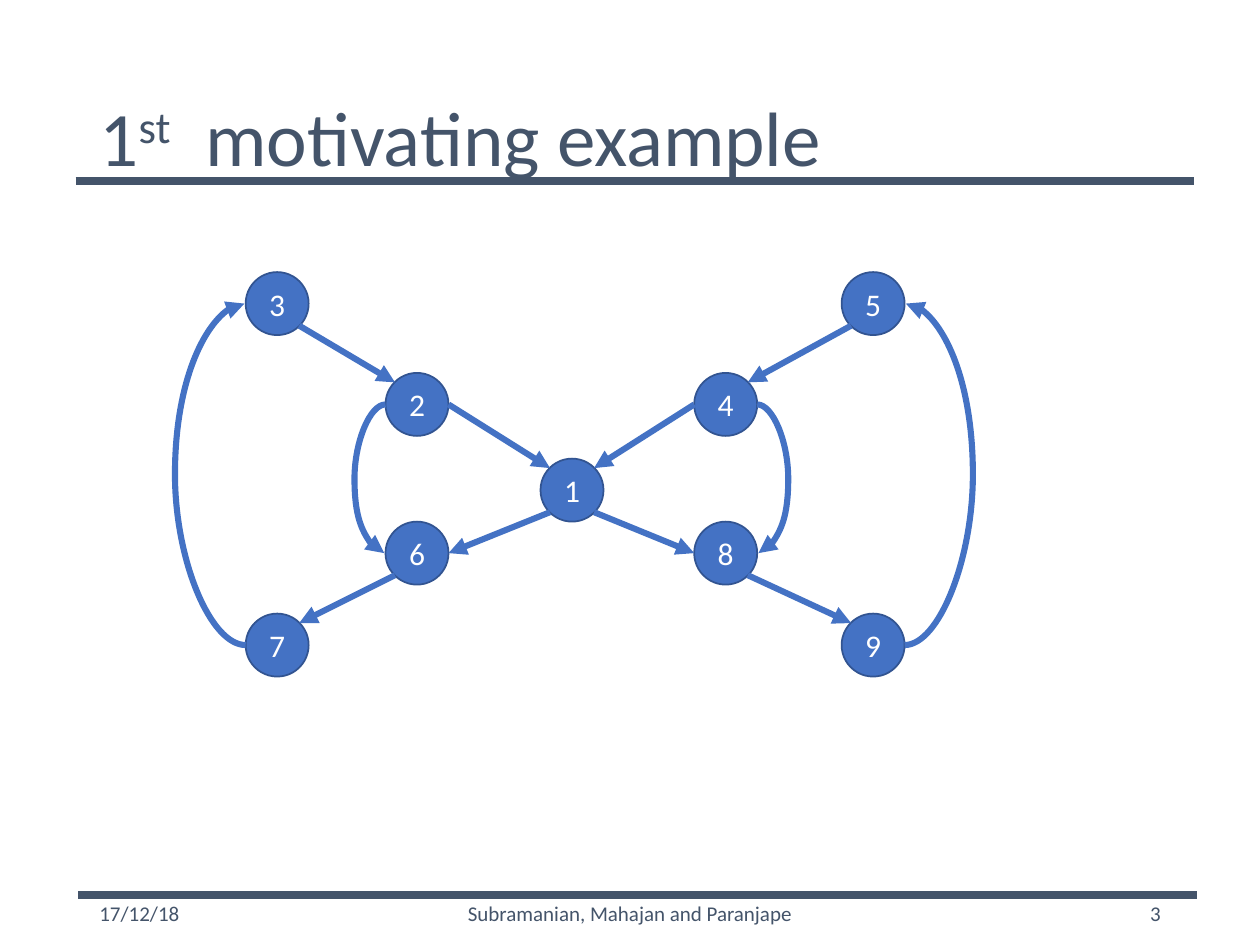
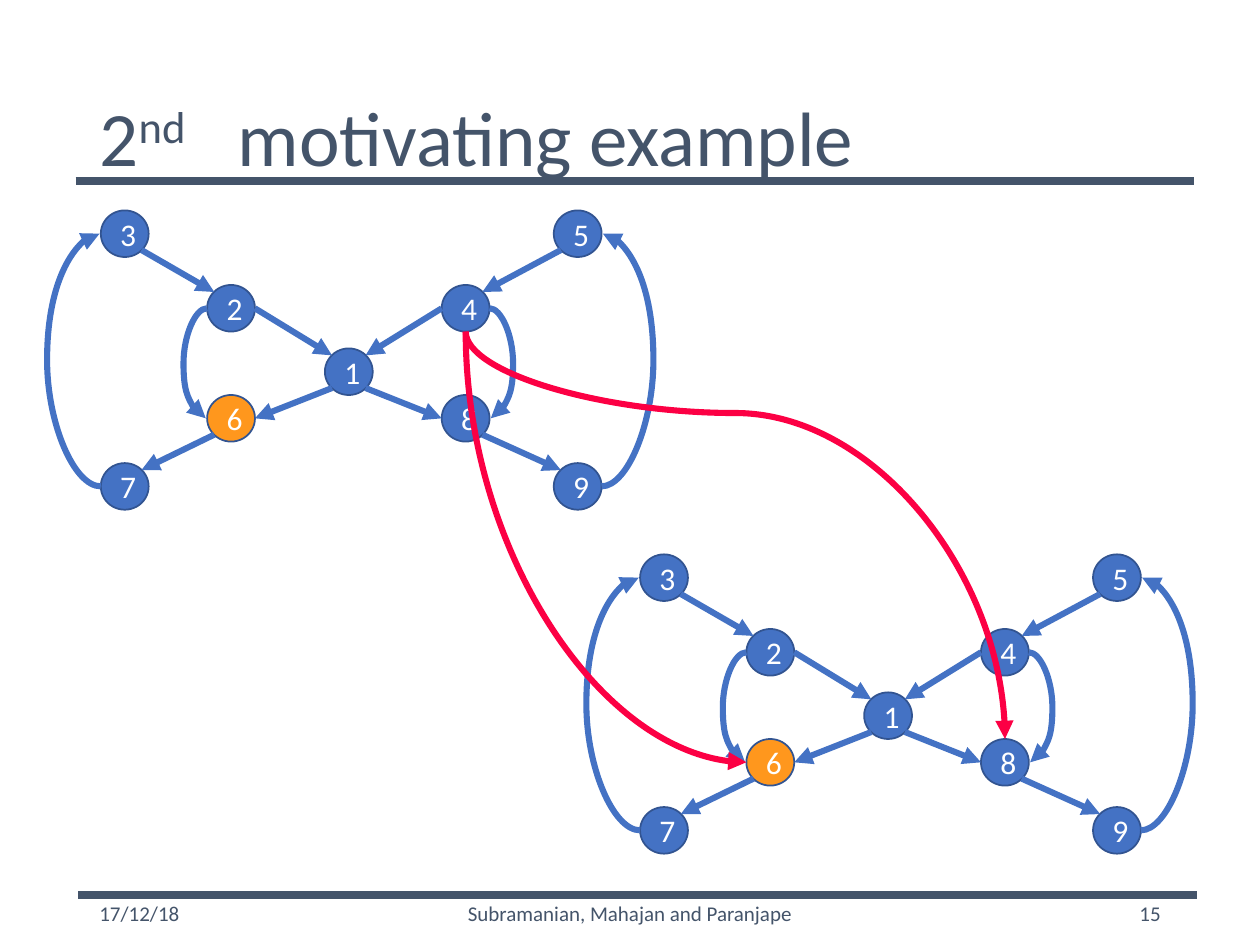
from pptx import Presentation
from pptx.dml.color import RGBColor
from pptx.enum.shapes import MSO_CONNECTOR, MSO_SHAPE
from pptx.enum.text import MSO_ANCHOR, PP_ALIGN
from pptx.oxml.ns import qn
from pptx.util import Inches, Pt
from lxml import etree

STRAIGHT, CURVE = MSO_CONNECTOR.STRAIGHT, MSO_CONNECTOR.CURVE
OVAL = MSO_SHAPE.OVAL
MIDDLE = MSO_ANCHOR.MIDDLE
LEFT, CENTER, RIGHT = PP_ALIGN.LEFT, PP_ALIGN.CENTER, PP_ALIGN.RIGHT

FONT = "Calibri"
COLORS = {"slate": "44546A", "node": "4472C4", "outline": "325491",
          "marked": "FF971D", "link": "FC0044", "white": "FFFFFF"}

DATE = "17/12/18"
AUTHORS = "Subramanian, Mahajan and Paranjape"
SLIDES = [
    {"title": ("1", "st", "  motivating example"), "number": "3",
     "graphs": [{"origin": (1.95, 2.16), "scale": (1, 1)}],
     "marked": "", "links": []},
    {"title": ("2", "nd", "   motivating example"), "number": "15",
     "graphs": [{"origin": (0.8, 1.67), "scale": (0.76, 0.74)},
                {"origin": (5.08, 4.4), "scale": (0.76, 0.74)}],
     "marked": "6",
     # target node in the second graph, its side, share of the way to the bend
     "links": [("6", "left", None), ("8", "top", 0.2)]},
]

# Graph at full scale, in inches: node label -> (column, row)
COLUMNS = (0, 1.11, 2.34, 3.56, 4.73)
ROWS = (0, 0.8, 1.48, 1.98, 2.71)
NODE_SIZE = 0.5
NODES = {"2": (1, 1), "3": (0, 0), "4": (3, 1), "8": (3, 3), "6": (1, 3),
         "7": (0, 4), "1": (2, 2), "5": (4, 0), "9": (4, 4)}
SIDES = {"top": (0.5, 0), "bottom": (0.5, 1), "left": (0, 0.5), "right": (1, 0.5),
         "top left": (0.15, 0.15), "top right": (0.85, 0.15),
         "bottom left": (0.15, 0.85), "bottom right": (0.85, 0.85)}
ARROWS = [("3", "bottom right", "2", "top left"), ("2", "right", "1", "top left"),
          ("4", "left", "1", "top right"), ("5", "bottom left", "4", "top right"),
          ("6", "bottom left", "7", "top right"), ("8", "bottom right", "9", "top left"),
          ("1", "bottom left", "6", "right"), ("1", "bottom right", "8", "left")]
# from, to, side, how far the loop reaches out
LOOPS = [("4", "8", "right", 0.25), ("2", "6", "left", 0.25),
         ("9", "5", "right", 0.55), ("7", "3", "left", 0.57)]
LOOP_STEP = 0.01


def rgb(name):
    return RGBColor.from_string(COLORS[name])


def style_run(span, size, color):
    span.font.name = FONT
    span.font.size = Pt(size)
    span.font.color.rgb = rgb(color)


def add_line(slide, kind, begin, end, color, width, arrow=True):
    line = slide.shapes.add_connector(kind, *(Inches(v) for v in (*begin, *end)))
    line.line.color.rgb = rgb(color)
    line.line.width = Pt(width)
    properties = line._element.spPr
    if arrow:
        etree.SubElement(properties.get_or_add_ln(), qn("a:tailEnd"), type="triangle")
    etree.SubElement(properties, qn("a:effectLst"))
    return line


def set_bend(line, share):
    """Place the bend of a curve at a share of its width."""
    guides = line._element.spPr.find(qn("a:prstGeom")).get_or_add_avLst()
    etree.SubElement(guides, qn("a:gd"), name="adj1", fmla=f"val {round(share * 100000)}")


def add_frame(slide, content):
    """Add the title, the two bands and the footer."""
    title = slide.shapes.title
    title.left, title.top, title.width, title.height = (
        Inches(v) for v in (0.69, 0.4, 8.62, 1.45))
    title.text_frame.vertical_anchor = MIDDLE
    para = title.text_frame.paragraphs[0]
    para.alignment, para.line_spacing = LEFT, 0.9
    for text in content["title"]:
        span = para.add_run()
        span.text = text
        style_run(span, 44, "slate")
    para.runs[1]._r.get_or_add_rPr().set("baseline", "30000")

    for left, top in ((0.6, 1.44), (0.62, 7.1)):
        add_line(slide, STRAIGHT, (left, top), (left + 8.88, top), "slate", 4.5, False)

    for text, left, width, alignment in ((DATE, 0.69, 2.25, LEFT),
                                         (AUTHORS, 3.31, 3.38, CENTER),
                                         (content["number"], 7.06, 2.25, RIGHT)):
        box = slide.shapes.add_textbox(Inches(left), Inches(7.05), Inches(width), Inches(0.4))
        box.text_frame.word_wrap = True
        box.text_frame.vertical_anchor = MIDDLE
        para = box.text_frame.paragraphs[0]
        para.text, para.alignment = text, alignment
        style_run(para.runs[0], 12, "slate")


def node_point(graph, label, side=None):
    """Return the top left corner of a node, or the point on one of its sides."""
    column, row = NODES[label]
    across, down = SIDES[side] if side else (0, 0)
    (left, top), (scale_x, scale_y) = graph["origin"], graph["scale"]
    return (left + scale_x * (COLUMNS[column] + across * NODE_SIZE),
            top + scale_y * (ROWS[row] + down * NODE_SIZE))


def add_graph(slide, graph, marked):
    scale_x, scale_y = graph["scale"]
    for label in NODES:
        left, top = node_point(graph, label)
        node = slide.shapes.add_shape(OVAL, Inches(left), Inches(top),
                                      Inches(NODE_SIZE * scale_x), Inches(NODE_SIZE * scale_y))
        node.shadow.inherit = False
        node.fill.solid()
        node.fill.fore_color.rgb = rgb("marked" if label == marked else "node")
        node.line.color.rgb = rgb("outline")
        node.line.width = Pt(1)
        node.text_frame.vertical_anchor = MIDDLE
        para = node.text_frame.paragraphs[0]
        para.text, para.alignment = label, CENTER
        style_run(para.runs[0], 18, "white")

    for source, source_side, target, target_side in ARROWS:
        add_line(slide, STRAIGHT, node_point(graph, source, source_side),
                 node_point(graph, target, target_side), "node", 3.5)

    for source, target, side, reach in LOOPS:
        end_x, end_y = node_point(graph, target, side)
        step = LOOP_STEP if side == "right" else -LOOP_STEP
        loop = add_line(slide, CURVE, node_point(graph, source, side),
                        (end_x + step, end_y), "node", 3.5)
        set_bend(loop, reach * scale_x / LOOP_STEP)


def add_link(slide, begin, end, bend):
    """Draw a curve that leaves downwards: a sideways curve turned by 270 degrees."""
    center_x, center_y = (begin[0] + end[0]) / 2, (begin[1] + end[1]) / 2
    half_x, half_y = (end[0] - begin[0]) / 2, (end[1] - begin[1]) / 2
    link = add_line(slide, CURVE, (center_x + half_y, center_y - half_x),
                    (center_x - half_y, center_y + half_x), "link", 3.5)
    properties = link._element.spPr
    properties.find(qn("a:xfrm")).set("rot", str(270 * 60000))
    if bend is None:
        properties.find(qn("a:prstGeom")).set("prst", "curvedConnector2")
    else:
        set_bend(link, bend)


def main():
    deck = Presentation()
    deck.slide_width, deck.slide_height = Inches(10), Inches(7.5)
    title_only = deck.slide_layouts[5]
    for content in SLIDES:
        slide = deck.slides.add_slide(title_only)
        add_frame(slide, content)
        for graph in content["graphs"]:
            add_graph(slide, graph, content["marked"])
        for label, side, bend in content["links"]:
            first, second = content["graphs"]
            add_link(slide, node_point(first, "4", "bottom"),
                     node_point(second, label, side), bend)
    deck.save("out.pptx")


if __name__ == "__main__":
    main()
